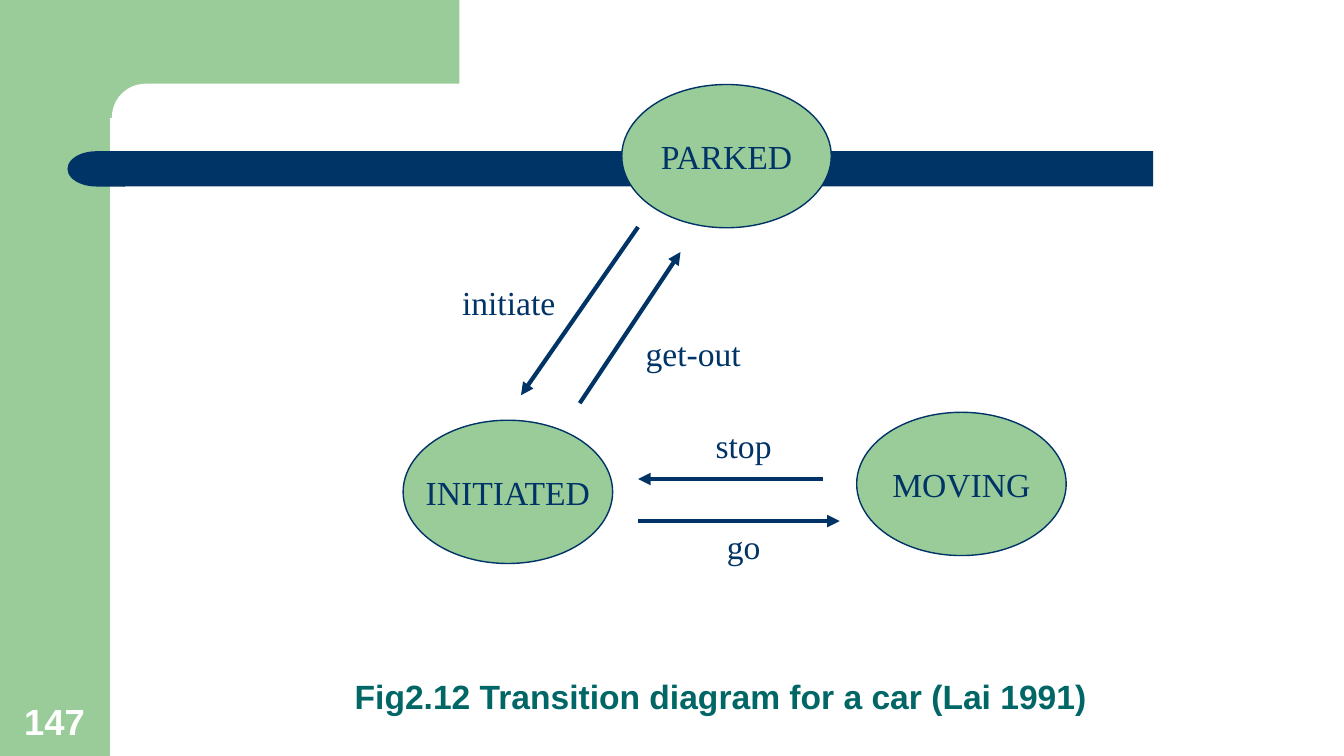
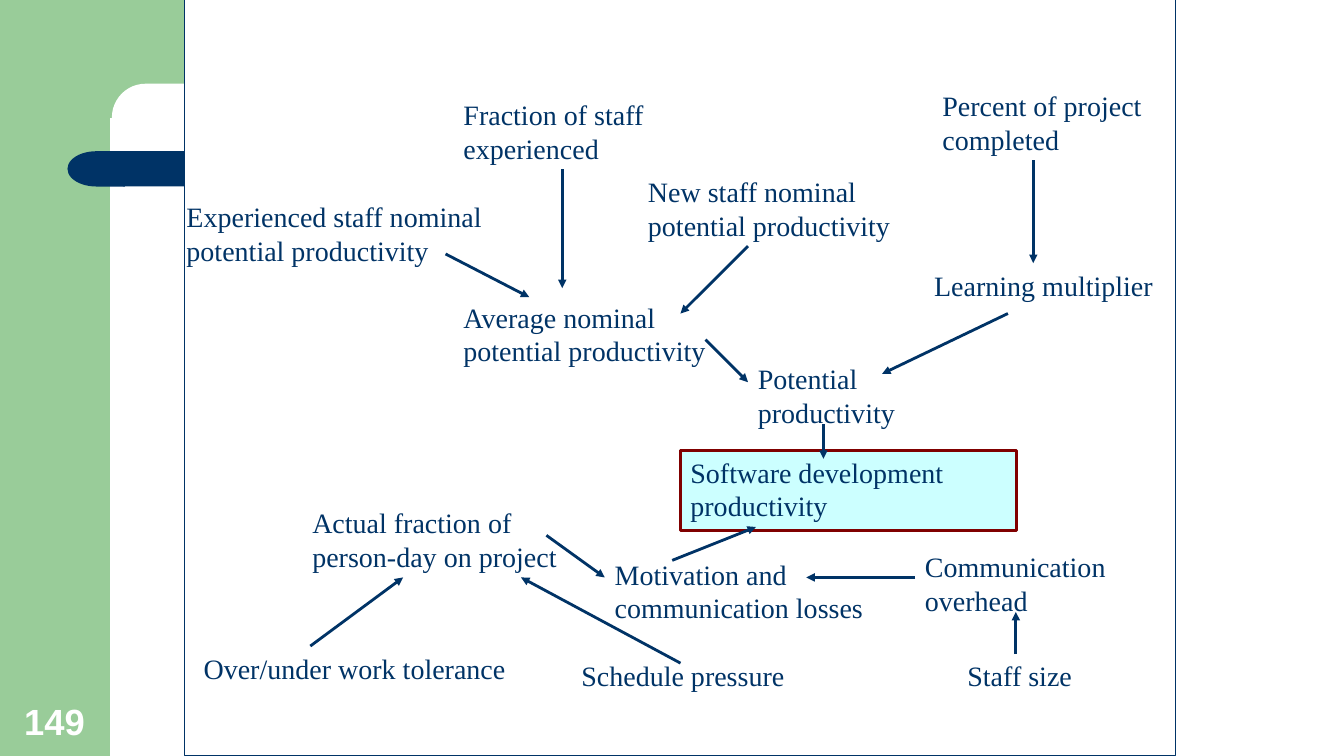
from dataclasses import dataclass

from pptx import Presentation
from pptx import util as u
from pptx.dml.color import RGBColor
from pptx.enum import shapes, text
from pptx.oxml import ns
from lxml import etree

SHAPE = shapes.MSO_SHAPE
ALIGN = text.PP_ALIGN
ANCHOR = text.MSO_ANCHOR


@dataclass(frozen=True)
class Theme:
    green: str = "99CC99"
    navy: str = "003366"
    teal: str = "006666"
    white: str = "FFFFFF"
    aqua: str = "CCFFFF"
    maroon: str = "800000"
    heading_font: str = "Arial"
    body_font: str = "Times New Roman"
    number_size: int = 26
    state_size: int = 24
    factor_size: int = 20


class Diagrams:
    """Holds the deck, its style and the current page."""

    def __init__(self, theme):
        self.theme = theme
        self.deck = Presentation()
        self.deck.slide_width, self.deck.slide_height = u.Cm(33.87), u.Cm(19.05)
        self.page = None

    def shape(self, kind, left, top, width, height, fill, line=None, weight=1):
        box = self.page.shapes.add_shape(kind, u.Cm(left), u.Cm(top), u.Cm(width), u.Cm(height))
        box.shadow.inherit = False
        box.fill.solid()
        box.fill.fore_color.rgb = RGBColor.from_string(fill)
        if line:
            box.line.color.rgb = RGBColor.from_string(line)
            box.line.width = u.Pt(weight)
        else:
            box.line.fill.background()
        return box

    def set_text(self, box, words, size, font=None, color=None, bold=False,
                 align=ALIGN.LEFT, anchor=ANCHOR.TOP, wrap=True):
        frame = box.text_frame
        frame.word_wrap = wrap
        frame.vertical_anchor = anchor
        frame.text = words
        para = frame.paragraphs[0]
        para.alignment = align
        for span in para.runs:
            span.font.name = font or self.theme.body_font
            span.font.size = u.Pt(size)
            span.font.bold = bold
            span.font.color.rgb = RGBColor.from_string(color or self.theme.navy)
        return para

    def label(self, words, left, top, width, height, size, **style):
        box = self.page.shapes.add_textbox(u.Cm(left), u.Cm(top), u.Cm(width), u.Cm(height))
        return self.set_text(box, words, size, **style)

    def arrow(self, x1, y1, x2, y2, weight):
        line = self.page.shapes.add_connector(
            shapes.MSO_CONNECTOR.STRAIGHT, u.Cm(x1), u.Cm(y1), u.Cm(x2), u.Cm(y2))
        line.line.color.rgb = RGBColor.from_string(self.theme.navy)
        line.line.width = u.Pt(weight)
        properties = line._element.spPr
        outline = properties.find(ns.qn("a:ln"))
        etree.SubElement(outline, ns.qn("a:tailEnd"), type="triangle")
        etree.SubElement(properties, ns.qn("a:effectLst"))

    def new_page(self, number):
        theme = self.theme
        self.page = self.deck.slides.add_slide(self.deck.slide_layouts[6])
        # Green corner with a rounded white cut-out
        self.shape(SHAPE.RECTANGLE, 0, 0, 2.77, 19.05, theme.green)
        self.shape(SHAPE.RECTANGLE, 2.49, 0, 9.09, 2.97, theme.green)
        cutout = self.shape(SHAPE.ROUNDED_RECTANGLE, 2.82, 2.11, 18.9, 1.7, theme.white)
        cutout.adjustments[0] = 0.5
        # Navy bar with a round left end
        self.shape(SHAPE.RECTANGLE, 3.1, 3.81, 25.96, 0.89, theme.navy)
        bar_end = self.shape(SHAPE.FLOWCHART_DELAY, 1.7, 3.81, 1.45, 0.89, theme.navy)
        bar_end.rotation = 180
        # Page number
        self.label(number, 0.36, 17.48, 2.18, 1.35, theme.number_size, bold=True,
                   font=theme.heading_font, color=theme.white, anchor=ANCHOR.BOTTOM)

    def caption(self, words):
        para = self.label(words, 8.69, 15.44, 20.12, 2.74, self.theme.state_size, bold=True,
                          font=self.theme.heading_font, color=self.theme.teal,
                          anchor=ANCHOR.BOTTOM)
        para.line_spacing = 0.9

    def state(self, name, left, top):
        oval = self.shape(SHAPE.OVAL, left, top, 5.28, 3.61, self.theme.green, self.theme.navy)
        self.set_text(oval, name, self.theme.state_size, align=ALIGN.CENTER,
                      anchor=ANCHOR.MIDDLE, wrap=False)

    def event(self, name, left, top):
        self.label(name, left, top, 3.18, 1.27, self.theme.state_size, align=ALIGN.CENTER)

    def factor(self, name, left, top, width, lines=2):
        height = 0.23 + 0.86 * lines
        self.label(name, left, top, width, height, self.theme.factor_size)

    def outcome(self, name, left, top, width, height):
        box = self.shape(SHAPE.RECTANGLE, left, top, width, height,
                         self.theme.aqua, self.theme.maroon, 2)
        self.set_text(box, name, self.theme.factor_size)


# Car states: name, left, top
STATES = [("PARKED", 15.67, 2.13), ("INITIATED", 10.16, 10.59), ("MOVING", 21.59, 10.39)]
EVENTS = [("initiate", 11.23, 6.99), ("get-out", 15.88, 8.26),
          ("stop", 17.15, 10.59), ("go", 17.15, 13.13)]
TRANSITIONS = [(16.08, 5.72, 13.13, 9.96), (14.61, 10.16, 17.15, 6.35),
               (16.08, 13.13, 21.16, 13.13), (20.75, 12.07, 16.08, 12.07)]

# Productivity factors: name, left, top, width, and lines if not two
FACTORS = [
    ("Experienced staff nominal potential productivity", 4.45, 4.9, 8.26),
    ("Fraction of staff experienced", 11.43, 2.34, 5.08),
    ("New staff nominal potential productivity", 16.08, 4.27, 6.99),
    ("Percent of project completed", 23.5, 2.11, 6.35),
    ("Average nominal potential productivity", 11.43, 7.44, 6.78),
    ("Learning multiplier", 23.29, 6.63, 6.55, 1),
    ("Potential productivity", 18.85, 8.99, 4.24),
    ("Actual fraction of person-day on project", 7.62, 12.62, 6.78),
    ("Motivation and communication losses", 15.24, 13.92, 7.19),
    ("Communication overhead", 23.06, 13.72, 5.72),
    ("Over/under work tolerance", 4.88, 16.28, 8.46, 1),
    ("Schedule pressure", 14.4, 16.48, 5.72, 1),
    ("Staff size", 24.13, 16.48, 3.18, 1),
]
INFLUENCES = [
    (11.23, 6.4, 13.34, 7.49), (14.17, 4.27, 14.17, 7.26), (18.85, 6.2, 17.15, 7.9),
    (17.78, 8.56, 18.85, 9.63), (26.04, 4.04, 26.04, 6.63), (25.4, 7.9, 22.23, 9.42),
    (20.75, 10.69, 20.75, 11.56), (13.77, 13.49, 15.24, 14.55),
    (16.94, 14.12, 19.05, 13.28), (23.06, 14.55, 20.32, 14.55),
    (7.82, 16.28, 10.16, 14.55), (17.15, 16.71, 13.13, 14.55), (25.6, 16.48, 25.6, 15.42),
]


def car_page(show):
    show.new_page("147")
    for state in STATES:
        show.state(*state)
    show.caption("Fig2.12 Transition diagram for a car (Lai 1991)")
    for ends in TRANSITIONS:
        show.arrow(*ends, weight=3)
    for event in EVENTS:
        show.event(*event)


def productivity_page(show):
    show.new_page("149")
    show.shape(SHAPE.RECTANGLE, 4.65, 0, 24.97, 19.05, show.theme.white, show.theme.navy, 0.75)
    for factor in FACTORS:
        show.factor(*factor)
    show.outcome("Software development productivity", 17.15, 11.35, 8.46, 2.03)
    for ends in INFLUENCES:
        show.arrow(*ends, weight=2)


def main():
    show = Diagrams(Theme())
    car_page(show)
    productivity_page(show)
    show.deck.save("out.pptx")


if __name__ == "__main__":
    main()
